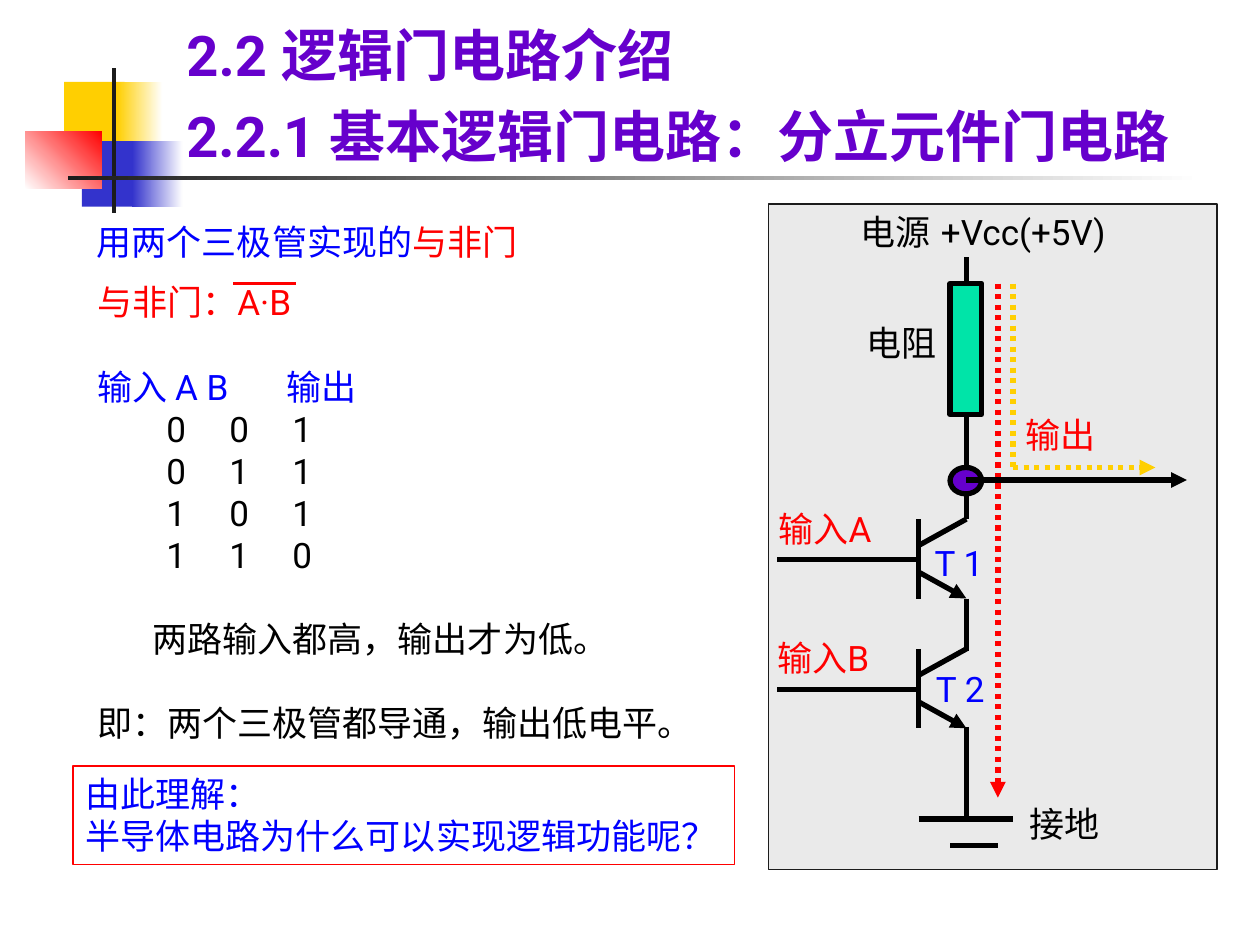
from typing import NamedTuple

from lxml import etree
from pptx import Presentation
from pptx import util as u
from pptx.dml import color as col
from pptx.enum import dml, shapes, text
from pptx.oxml import ns

BLACK, RED, BLUE = "000000", "FF0000", "0000FF"
GOLD, INDIGO, PURPLE, INK, WHITE = "FFCF01", "3333CC", "6600CC", "1C1C1C", "FFFFFF"


class Box(NamedTuple):
    x: float
    y: float
    w: float
    h: float


class Block(NamedTuple):
    box: Box
    start: str
    end: str = ""
    angle: int = 0


class Label(NamedTuple):
    words: str
    box: Box
    color: str = BLACK
    wrap: bool = True


class Wire(NamedTuple):
    x1: float
    y1: float
    x2: float
    y2: float
    color: str = BLACK
    dots: bool = False
    arrow: bool = False
    width: float = 3


class Row(NamedTuple):
    words: str
    color: str = BLACK
    gap: int = 0
    indent: float = 0
    tabs: tuple = ()


def rgb(code: str) -> col.RGBColor:
    return col.RGBColor.from_string(code)


def sub(node, tag: str, **attrs: str):
    return etree.SubElement(node, ns.qn(tag), **attrs)


def place(item, box: Box) -> None:
    item.left, item.top, item.width, item.height = map(u.Inches, box)


def style(font, color: str, size: int = 20, name: str = "Roboto", bold: bool = False) -> None:
    font.size, font.name, font.bold = u.Pt(size), name, bold
    font.color.rgb = rgb(color)


def add_shape(slide, kind, box: Box, fill: str, line: str = "", width: float = 0.75):
    item = slide.shapes.add_shape(kind, *map(u.Inches, box))
    item.shadow.inherit = False
    item.fill.solid()
    item.fill.fore_color.rgb = rgb(fill)
    if line:
        item.line.color.rgb = rgb(line)
        item.line.width = u.Pt(width)
    else:
        item.line.fill.background()
    return item


def add_block(slide, block: Block) -> None:
    item = add_shape(slide, shapes.MSO_SHAPE.RECTANGLE, block.box, block.start)
    if block.end:
        item.fill.gradient()
        item.fill.gradient_angle = block.angle
        for stop, code in zip(item.fill.gradient_stops, (block.start, block.end)):
            stop.color.rgb = rgb(code)


def add_label(slide, label: Label):
    item = slide.shapes.add_textbox(*map(u.Inches, label.box))
    frame = item.text_frame
    frame.word_wrap = label.wrap
    frame.text = label.words
    for para in frame.paragraphs:
        for run in para.runs:
            style(run.font, label.color)
    return item


def add_wire(slide, wire: Wire) -> None:
    ends = map(u.Inches, (wire.x1, wire.y1, wire.x2, wire.y2))
    item = slide.shapes.add_connector(shapes.MSO_CONNECTOR.STRAIGHT, *ends)
    item.line.color.rgb = rgb(wire.color)
    item.line.width = u.Pt(wire.width)
    if wire.dots:
        item.line.dash_style = dml.MSO_LINE.ROUND_DOT
    props = item._element.spPr
    if wire.arrow:
        sub(props.find(ns.qn("a:ln")), "a:tailEnd", type="triangle")
    sub(props, "a:effectLst")


def add_gate(slide, y: float) -> None:
    left, right = 7.29, 7.67
    for wire in (
        Wire(right, y, left, y + 0.21),
        Wire(left, y, left, y + 0.63),
        Wire(left, y + 0.42, right, y + 0.63, arrow=True),
        Wire(6.17, y + 0.32, left, y + 0.32),
    ):
        add_wire(slide, wire)


def fill_rows(frame, rows: list[Row]) -> None:
    frame.text = "\n".join(row.words for row in rows)
    for para, row in zip(frame.paragraphs, rows):
        props = para._p.get_or_add_pPr()
        props.set("marL", str(u.Inches(row.indent)))
        props.set("indent", "0")
        sub(props, "a:buNone")
        if row.tabs:
            stops = sub(props, "a:tabLst")
            for stop in row.tabs:
                sub(stops, "a:tab", pos=str(u.Inches(stop)), algn="l")
        para.space_before = u.Pt(row.gap)
        for run in para.runs:
            style(run.font, row.color)


BLOCKS = [
    Block(Box(0.51, 0.65, 0.48, 0.52), GOLD),
    Block(Box(0.93, 0.65, 0.36, 0.52), GOLD, WHITE),
    Block(Box(0.65, 1.12, 0.46, 0.52), INDIGO),
    Block(Box(1.05, 1.12, 0.4, 0.52), INDIGO, WHITE),
    Block(Box(0.2, 1.04, 0.61, 0.46), WHITE, RED, 45),
    Block(Box(0.89, 0.54, 0.03, 1.15), INK),
    Block(Box(0.54, 1.4, 9, 0.03), INK, WHITE),
]
TRUTH = ["0\t0\t1", "0\t1\t1", "1\t0\t1", "1\t1\t0"]
ROWS = [
    Row("与非门：A·B", RED),
    Row("输入 A B\t输出", BLUE, 24, tabs=(1.6,)),
    *[Row(line, indent=0.55, tabs=(0.85, 1.62)) for line in TRUTH],
    Row("两路输入都高，输出才为低。", gap=24, indent=0.44),
    Row("即：两个三极管都导通，输出低电平。", gap=24),
]
LABELS = [
    Label("+Vcc(+5V)", Box(7.37, 1.62, 1.54, 0.43), wrap=False),
    Label("电源", Box(6.73, 1.62, 1.14, 0.43)),
    Label("电阻", Box(6.78, 2.5, 0.97, 0.43)),
    Label("输入A", Box(6.08, 3.98, 1.27, 0.43), RED),
    Label("输入B", Box(6.07, 5, 1.43, 0.43), RED),
    Label("输出", Box(8.04, 3.23, 0.96, 0.43), RED),
    Label("T 1", Box(7.32, 4.25, 0.6, 0.43), BLUE, False),
    Label("T 2", Box(7.33, 5.25, 0.6, 0.43), BLUE, False),
    Label("接地", Box(8.07, 6.32, 1.01, 0.43)),
]
WIRES = [
    Wire(7.67, 4.75, 7.67, 5.17),
    Wire(7.92, 2.25, 7.92, 6.33, RED, True, True),
    Wire(8.04, 2.25, 8.04, 3.71, GOLD, True),
    Wire(8.04, 3.71, 9.17, 3.71, GOLD, True, True),
    Wire(7.67, 3.81, 9.42, 3.81, arrow=True),
    Wire(7.67, 5.77, 7.67, 6.5),
    Wire(7.29, 6.5, 8.04, 6.5),
    Wire(7.54, 6.71, 7.92, 6.71),
    Wire(1.85, 2.25, 2.35, 2.25, RED, width=2.25),
]


def main() -> None:
    deck = Presentation()
    deck.slide_width, deck.slide_height = u.Inches(10), u.Inches(7.5)
    slide = deck.slides.add_slide(deck.slide_layouts[1])
    for block in BLOCKS:
        add_block(slide, block)

    title, body = slide.shapes.title, slide.placeholders[1]
    place(title, Box(1.38, 0.13, 8.19, 0.62))
    title.text_frame.text = "2.2 逻辑门电路介绍"
    title.text_frame.vertical_anchor = text.MSO_ANCHOR.BOTTOM
    title.text_frame.paragraphs[0].alignment = text.PP_ALIGN.LEFT
    part = add_label(slide, Label("2.2.1 基本逻辑门电路：分立元件门电路", Box(1.38, 0.76, 8.41, 0.62)))
    for head in (title, part):
        head.text_frame.auto_size = text.MSO_AUTO_SIZE.NONE
        style(head.text_frame.paragraphs[0].runs[0].font, PURPLE, 32, bold=True)

    place(body, Box(0.67, 2.18, 5.2, 3.77))
    body.text_frame.auto_size = text.MSO_AUTO_SIZE.NONE
    fill_rows(body.text_frame, ROWS)
    intro = add_label(slide, Label("用两个三极管实现的", Box(0.67, 1.7, 4.96, 0.43)))
    para = intro.text_frame.paragraphs[0]
    para.add_run().text = "与非门"
    for run, code in zip(para.runs, (BLUE, RED)):
        style(run.font, code, name="Times New Roman")

    kinds = shapes.MSO_SHAPE
    add_shape(slide, kinds.RECTANGLE, Box(6.1, 1.62, 3.56, 5.28), "EAEAEA", INK)
    add_wire(slide, Wire(7.67, 2.04, 7.67, 4.12))
    add_shape(slide, kinds.RECTANGLE, Box(7.54, 2.25, 0.25, 1.04), "00E4A8", BLACK, 3)
    add_shape(slide, kinds.OVAL, Box(7.54, 3.71, 0.25, 0.21), PURPLE, BLACK, 3)
    for y in (4.12, 5.15):
        add_gate(slide, y)
    for label in LABELS:
        add_label(slide, label)
    for wire in WIRES:
        add_wire(slide, wire)

    note = add_label(slide, Label("由此理解：\n半导体电路为什么可以实现逻辑功能呢？", Box(0.58, 6.08, 5.25, 0.78), BLUE))
    note.line.color.rgb = rgb(RED)
    note.line.width = u.Pt(0.75)
    deck.save("out.pptx")


if __name__ == "__main__":
    main()
